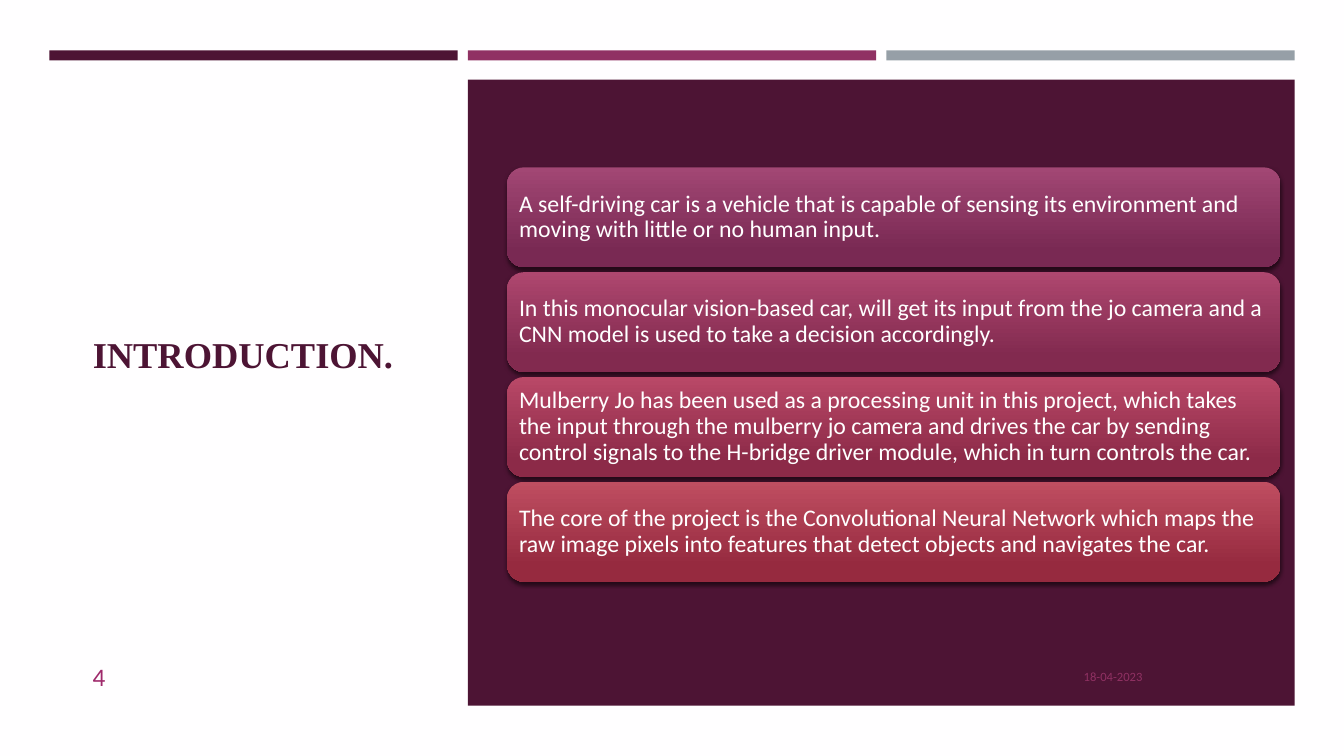
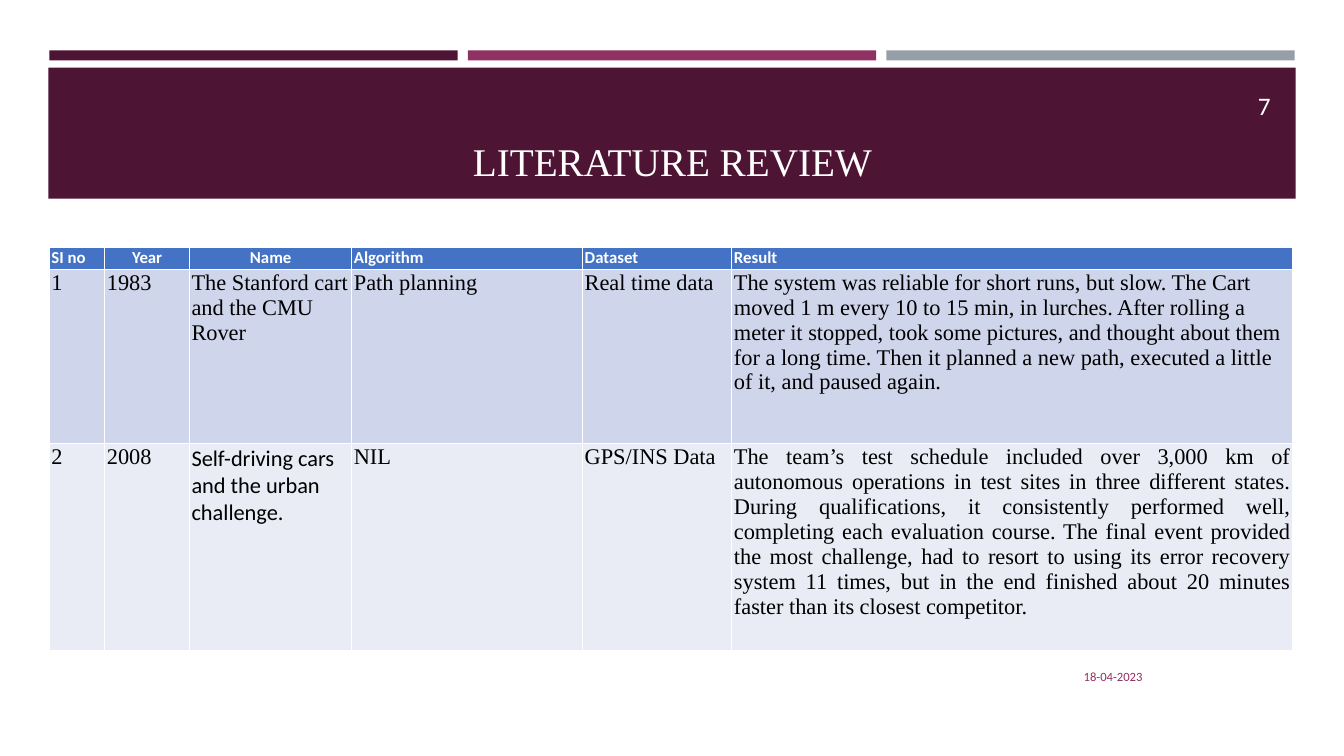
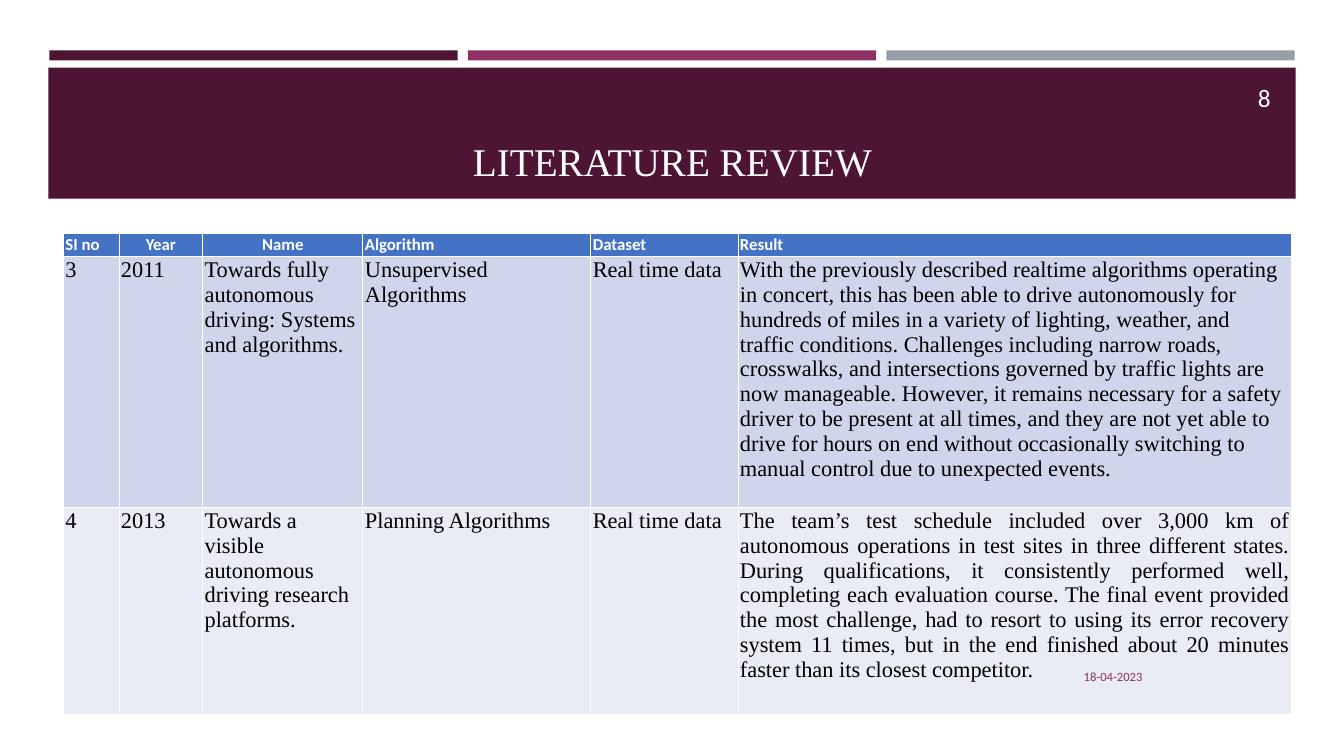
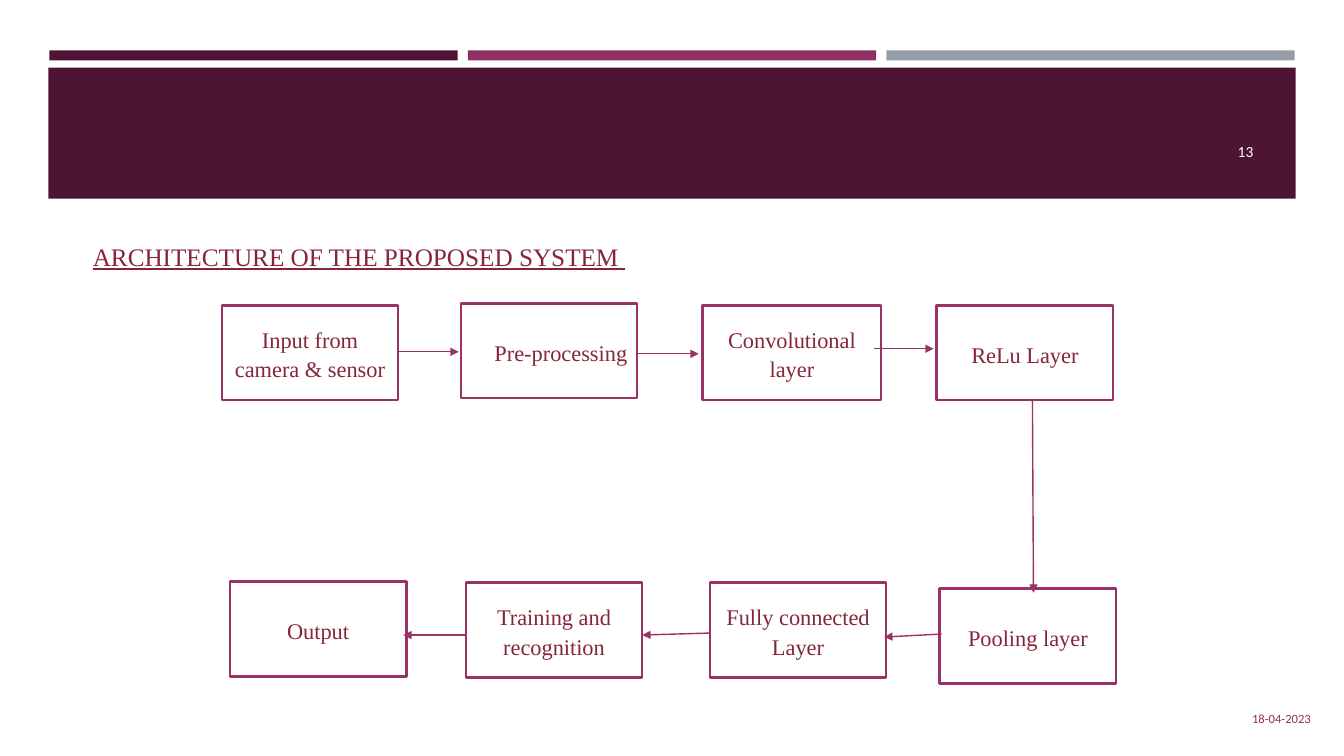
"""Build four slides about a self-driving car project."""
import pptx
import pptx.dml.color
import pptx.enum.shapes
import pptx.enum.text
import pptx.oxml
import pptx.oxml.ns
import pptx.util

SHAPE = pptx.enum.shapes.MSO_SHAPE
ANCHOR = pptx.enum.text.MSO_ANCHOR
ALIGN = pptx.enum.text.PP_ALIGN
SERIF, SANS = "Times New Roman", "Calibri"
PLUM, MAGENTA, GRAY, WHITE = "4D1434", "903163", "969FA7", "FFFFFF"
PINK, FLOW_LINE, FLOW_TEXT = "9F296B", "993366", "852638"
HEADER_FILL, ROW_FILLS = "4472C4", ("CFD5EA", "E9EBF5")
DATE = "18-04-2023"
HEADERS = ["SI no", "Year", "Name", "Algorithm", "Dataset", "Result"]

INTRO = [
    ("A self-driving car is a vehicle that is capable of sensing its environment and "
     "moving with little or no human input.", "A24774", "792953"),
    ("In this monocular vision-based car, will get its input from the jo camera and a "
     "CNN model is used to take a decision accordingly.", "AE476F", "822A4F"),
    ("Mulberry Jo has been used as a processing unit in this project, which takes "
     "the input through the mulberry jo camera and drives the car by sending control "
     "signals to the H-bridge driver module, which in turn controls the car.",
     "B94867", "8C2A48"),
    ("The core of the project is the Convolutional Neural Network which maps the raw "
     "image pixels into features that detect objects and navigates the car.",
     "BF4E61", "962A3F"),
]

TEAM_RESULT = (
    "The team’s test schedule included over 3,000 km of autonomous operations in test "
    "sites in three different states. During qualifications, it consistently performed "
    "well, completing each evaluation course. The final event provided the most "
    "challenge, had to resort to using its error recovery system 11 times, but in the "
    "end finished about 20 minutes faster than its closest competitor.")

EARLY_WORK = [
    ["1", "1983", "The Stanford cart and the CMU Rover", "Path planning",
     "Real time data",
     "The system was reliable for short runs, but slow. The Cart moved 1 m every 10 to "
     "15 min, in lurches. After rolling a meter it stopped, took some pictures, and "
     "thought about them for a long time. Then it planned a new path, executed a little "
     "of it, and paused again."],
    ["2", "2008", "Self-driving cars and the urban challenge.", "NIL", "GPS/INS Data",
     TEAM_RESULT],
]

LATER_WORK = [
    ["3", "2011", "Towards fully autonomous driving: Systems and algorithms.",
     "Unsupervised Algorithms", "Real time data",
     "With the previously described realtime algorithms operating in concert, this has "
     "been able to drive autonomously for hundreds of miles in a variety of lighting, "
     "weather, and traffic conditions. Challenges including narrow roads, crosswalks, "
     "and intersections governed by traffic lights are now manageable. However, it "
     "remains necessary for a safety driver to be present at all times, and they are "
     "not yet able to drive for hours on end without occasionally switching to manual "
     "control due to unexpected events."],
    ["4", "2013", "Towards a visible autonomous driving research platforms.",
     "Planning Algorithms", "Real time data", TEAM_RESULT],
]

STEPS = [
    ("Input from camera & sensor", 220, 303, 175, ALIGN.CENTER),
    ("Pre-processing", 457, 301, 175, ALIGN.RIGHT),
    ("Convolutional layer", 697, 303, 177, ALIGN.CENTER),
    ("ReLu Layer", 929, 303, 175, ALIGN.CENTER),
    ("Pooling layer", 932, 584, 175, ALIGN.CENTER),
    ("Fully connected Layer", 704, 578, 175, ALIGN.CENTER),
    ("Training and recognition", 462, 578, 175, ALIGN.CENTER),
    ("Output", 228, 577, 175, ALIGN.CENTER),
]

ARROWS = [
    (396, 349, 455, 349), (633, 351, 693, 351), (867, 346, 926, 346),
    (1024, 397, 1025, 588), (934, 629, 877, 632), (705, 628, 637, 630),
    (463, 630, 400, 630),
]


def px(n):
    """Turn px, one hundredth of an inch each, into EMU."""
    return pptx.util.Emu(n * 9144)


def rgb(value):
    """Turn a hex string into a colour."""
    return pptx.dml.color.RGBColor.from_string(value)


def xml(body):
    """Parse one drawing element."""
    head, rest = body.split(" ", 1)
    return pptx.oxml.parse_xml(f"{head} {pptx.oxml.ns.nsdecls('a')} {rest}")


def write(tf, text, size=16, color="000000", font=SERIF, align=ALIGN.LEFT,
          bold=False, underline=False, spacing=1.0):
    """Put one formatted paragraph in a text frame."""
    p = tf.paragraphs[0]
    p.alignment, p.line_spacing = align, spacing
    r = p.add_run()
    r.text = text
    r.font.size, r.font.name = pptx.util.Pt(size), font
    r.font.bold, r.font.underline = bold, underline
    r.font.color.rgb = rgb(color)


class Deck:
    """Hold the presentation style and the current slide."""

    def __init__(self):
        """Start an empty widescreen presentation."""
        self.prs = pptx.Presentation()
        self.prs.slide_width, self.prs.slide_height = px(1333), px(750)

    def new_slide(self, background=WHITE):
        """Add a slide with the three top bars."""
        slide = self.prs.slides.add_slide(self.prs.slide_layouts[5])
        slide.background.fill.solid()
        slide.background.fill.fore_color.rgb = rgb(background)
        self.shapes = slide.shapes
        for i, color in enumerate((PLUM, MAGENTA, GRAY)):
            self.box(49 + 415 * i, 50, 405, 10, color)

    def banded_slide(self):
        """Add a slide with the title band."""
        self.new_slide()
        self.box(48, 67, 1237, 130, PLUM)

    def frame(self, sp, anchor=ANCHOR.MIDDLE, inset=None):
        """Set up a text frame and return it."""
        tf = sp.text_frame
        tf.word_wrap, tf.vertical_anchor = True, anchor
        tf.auto_size = pptx.enum.text.MSO_AUTO_SIZE.NONE
        if inset is not None:
            tf.margin_left = tf.margin_right = px(inset)
            tf.margin_top = tf.margin_bottom = px(inset)
        return tf

    def box(self, x, y, w, h, fill, line=None, kind=SHAPE.RECTANGLE):
        """Draw a flat preset shape."""
        sp = self.shapes.add_shape(kind, px(x), px(y), px(w), px(h))
        sp.shadow.inherit = False
        sp.fill.solid()
        sp.fill.fore_color.rgb = rgb(fill)
        if line:
            sp.line.color.rgb = rgb(line)
            sp.line.width = pptx.util.Pt(1.75)
        else:
            sp.line.fill.background()
        return sp

    def title(self, text, x, y, w, h, anchor=ANCHOR.MIDDLE, **style):
        """Place the title above the bands."""
        sp = self.shapes.title
        sp.left, sp.top, sp.width, sp.height = px(x), px(y), px(w), px(h)
        write(self.frame(sp, anchor), text, **style)
        self.shapes.element.append(sp.element)

    def label(self, text, x, y, w, **style):
        """Add a one-line text box."""
        sp = self.shapes.add_textbox(px(x), px(y), px(w), px(40))
        write(self.frame(sp), text, font=SANS, **style)

    def date(self, x=832, y=651):
        """Add the date."""
        self.label(DATE, x, y, 311, size=9, color=MAGENTA, align=ALIGN.RIGHT)

    def number(self, text, x, y, size=18):
        """Add the slide number in the band."""
        self.label(text, x, y, 115, size=size, color=WHITE, align=ALIGN.RIGHT)

    def card(self, text, y, top, bottom):
        """Add a rounded card with a gradient and a shadow."""
        sp = self.box(503, y, 767, 99, top, kind=SHAPE.ROUNDED_RECTANGLE)
        sp.fill.gradient()
        sp.fill.gradient_angle = 270
        for stop, color, place in zip(sp.fill.gradient_stops, (top, bottom), (0, 0.84)):
            stop.color.rgb, stop.position = rgb(color), place
        sp.element.spPr.find(pptx.oxml.ns.qn("a:effectLst")).append(xml(
            '<a:outerShdw blurRad="38100" dist="25400" dir="5400000" rotWithShape="0">'
            '<a:srgbClr val="000000"><a:alpha val="55000"/></a:srgbClr></a:outerShdw>'))
        write(self.frame(sp, inset=7), text, size=17, color=WHITE, font=SANS, spacing=0.9)

    def cell(self, cell, text, fill, **style):
        """Fill one table cell with white borders."""
        cell.margin_left = cell.margin_right = px(2)
        cell.margin_top = cell.margin_bottom = px(1)
        for side in "LRTB":
            cell._tc.get_or_add_tcPr().append(xml(
                f'<a:ln{side} w="9525"><a:solidFill><a:srgbClr val="{WHITE}"/>'
                f'</a:solidFill></a:ln{side}>'))
        cell.fill.solid()
        cell.fill.fore_color.rgb = rgb(fill)
        write(cell.text_frame, text, **style)

    def table(self, x, y, widths, heights, rows, sans_cells=()):
        """Add a review table."""
        table = self.shapes.add_table(
            len(heights), len(widths), px(x), px(y),
            px(sum(widths)), px(sum(heights))).table
        for column, w in zip(table.columns, widths):
            column.width = px(w)
        for row, h in zip(table.rows, heights):
            row.height = px(h)
        for j, text in enumerate(HEADERS):
            align = ALIGN.CENTER if text in ("Year", "Name") else ALIGN.LEFT
            self.cell(table.cell(0, j), text, HEADER_FILL, size=12, color=WHITE,
                      font=SANS, bold=True, align=align)
        for i, row in enumerate(rows):
            for j, text in enumerate(row):
                self.cell(table.cell(i + 1, j), text, ROW_FILLS[i],
                          font=SANS if (i, j) in sans_cells else SERIF,
                          align=ALIGN.JUSTIFY if text == TEAM_RESULT else ALIGN.LEFT)

    def step(self, text, x, y, w, align):
        """Add a box of the flow chart."""
        sp = self.box(x, y, w, 94, WHITE, FLOW_LINE)
        write(self.frame(sp), text, color=FLOW_TEXT, align=align, spacing=1.1)

    def arrow(self, x1, y1, x2, y2):
        """Draw an arrow between two points."""
        c = self.shapes.add_connector(
            pptx.enum.shapes.MSO_CONNECTOR.STRAIGHT, px(x1), px(y1), px(x2), px(y2))
        c.line.color.rgb = rgb(FLOW_LINE)
        c.line.width = pptx.util.Pt(1)
        sp_pr = c.element.spPr
        sp_pr.find(pptx.oxml.ns.qn("a:ln")).append(xml('<a:tailEnd type="triangle"/>'))
        sp_pr.append(xml("<a:effectLst />"))


def introduction(deck):
    """Build the introduction slide."""
    deck.new_slide("FFFEFF")
    deck.box(464, 79, 820, 621, PLUM)
    deck.title("INTRODUCTION.", 82, 94, 334, 515, size=26, color=PLUM, bold=True)
    deck.label("4", 82, 651, 74, size=18, color=PINK)
    for i, (text, top, bottom) in enumerate(INTRO):
        deck.card(text, 166 + 104 * i, top, bottom)
    deck.date()


def review(deck, number, number_y, *table):
    """Build a literature review slide."""
    deck.banded_slide()
    deck.title("LITERATURE REVIEW", 64, 77, 1206, 111, anchor=ANCHOR.BOTTOM,
               size=28, color=WHITE, align=ALIGN.CENTER)
    deck.table(*table)
    deck.number(number, 1155, number_y)
    deck.date()


def architecture(deck):
    """Build the flow chart slide."""
    deck.banded_slide()
    deck.number("13", 1138, 130, size=11)
    deck.date(999, 693)
    deck.title("ARCHITECTURE OF THE PROPOSED SYSTEM ", 82, 227, 632, 54, size=18,
               color=FLOW_TEXT, underline=True)
    for step in STEPS:
        deck.step(*step)
    for arrow in ARROWS:
        deck.arrow(*arrow)


def main():
    """Build and save the slides."""
    deck = Deck()
    introduction(deck)
    review(deck, "7", 85, 49, 245, (55, 84, 161, 229, 148, 556), (22, 173, 205),
           EARLY_WORK, {(1, 2)})
    review(deck, "8", 77, 63, 232, (55, 83, 159, 226, 146, 549), (22, 249, 205),
           LATER_WORK)
    architecture(deck)
    deck.prs.save("out.pptx")


if __name__ == "__main__":
    main()
